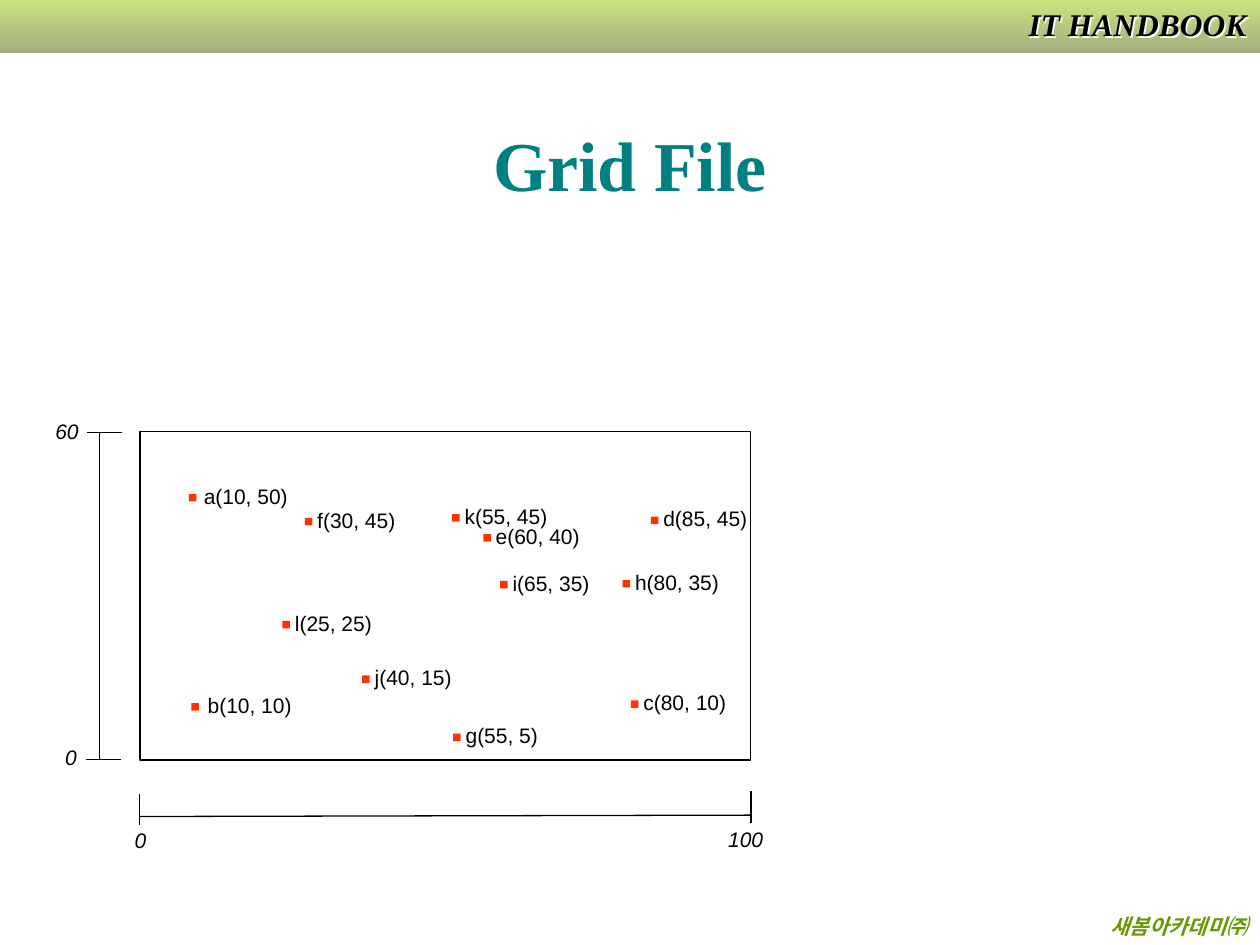
from dataclasses import dataclass
from typing import NamedTuple

from lxml.etree import SubElement
from pptx import Presentation
from pptx.dml.color import RGBColor
from pptx.enum.shapes import MSO_CONNECTOR as Connector, MSO_SHAPE as Preset
from pptx.enum.text import MSO_ANCHOR as Anchor, MSO_AUTO_SIZE as AutoSize, PP_ALIGN as Align
from pptx.oxml.ns import qn
from pptx.util import Pt


@dataclass(frozen=True)
class Theme:
    serif: str = "Times New Roman"
    sans: str = "Arial"
    title_size: float = 40
    header_size: float = 18
    label_size: float = 12
    ink: str = "000000"
    title: str = "008080"
    publisher: str = "669900"
    marker: str = "FF3300"
    bar_top: str = "99CC00"
    bar_bottom: str = "475E00"
    shadow: str = "FFFFFF"


class Box(NamedTuple):
    left: float
    top: float
    width: float
    height: float


class Line(NamedTuple):
    x1: float
    y1: float
    x2: float
    y2: float


class AxisLabel(NamedTuple):
    text: str
    box: Box


class DataPoint(NamedTuple):
    name: str
    x: int
    y: int
    left: float
    top: float
    label_width: float = 61.9
    label_shift: float = 0


THEME = Theme()
MARKER_SIZE = 4.3
LABEL_RISE = 9.6
LABEL_HEIGHT = 21.6
LABEL_RIGHT_INSET = 3
LINE_WIDTH = 0.75

PLOT = Box(80, 246.7, 348.9, 187.7)
AXIS_LINES = [
    Line(79.9, 466.6, 428.8, 465.8),
    Line(429.1, 452.2, 429.1, 470.2),
    Line(79.9, 453.6, 79.9, 471.6),
    Line(56.9, 247, 56.9, 434.2),
    Line(49, 434.2, 69.1, 434.2),
    Line(49.7, 247, 69.8, 247),
]
AXIS_LABELS = [
    AxisLabel("100", Box(409, 468.7, 34.6, LABEL_HEIGHT)),
    AxisLabel("60", Box(24.5, 235.7, 27.4, LABEL_HEIGHT)),
    AxisLabel("0", Box(30.2, 422, 20.9, LABEL_HEIGHT)),
    AxisLabel("0", Box(69.8, 469.4, 20.9, LABEL_HEIGHT)),
]
DATA_POINTS = [
    DataPoint("a", 10, 50, 108, 282.2, label_shift=1.4),
    DataPoint("b", 10, 10, 109.4, 401.8, label_shift=2.2),
    DataPoint("c", 80, 10, 360.6, 400.2),
    DataPoint("e", 60, 40, 276.2, 305.2),
    DataPoint("d", 85, 45, 372, 295.2),
    DataPoint("f", 30, 45, 174.2, 296, 59),
    DataPoint("g", 55, 5, 259, 419.2, 55.4),
    DataPoint("h", 80, 35, 355.8, 331.4),
    DataPoint("k", 55, 45, 258.4, 293.8),
    DataPoint("i", 65, 35, 285.8, 332, 58.3),
    DataPoint("j", 40, 15, 207, 386, 58.3),
    DataPoint("l", 25, 25, 161.4, 354.8, 58.3),
]


def rgb(value: str) -> RGBColor:
    return RGBColor.from_string(value)


def lengths(values) -> list[Pt]:
    return [Pt(value) for value in values]


def write_text(shape, text: str, *, font: str = THEME.sans, size: float = THEME.label_size,
               color: str = THEME.ink, bold: bool = False, italic: bool = False,
               align: Align = Align.LEFT, anchor: Anchor = Anchor.TOP,
               wrap: bool = True, right_inset: float = 7.2,
               auto_size: AutoSize = AutoSize.SHAPE_TO_FIT_TEXT) -> None:
    frame = shape.text_frame
    frame.word_wrap = wrap
    frame.auto_size = auto_size
    frame.vertical_anchor = anchor
    frame.margin_right = Pt(right_inset)
    paragraph = frame.paragraphs[0]
    paragraph.alignment = align
    run = paragraph.add_run()
    run.text = text
    run.font.name = font
    run.font.size = Pt(size)
    run.font.bold = bold
    run.font.italic = italic
    run.font.color.rgb = rgb(color)


def add_text(slide, box: Box, text: str, **text_format):
    shape = slide.shapes.add_textbox(*lengths(box))
    write_text(shape, text, **text_format)
    return shape


def add_label(slide, box: Box, text: str, italic: bool = False) -> None:
    add_text(slide, box, text, italic=italic, wrap=False, right_inset=LABEL_RIGHT_INSET)


def add_rectangle(slide, box: Box):
    shape = slide.shapes.add_shape(Preset.RECTANGLE, *lengths(box))
    shape.shadow.inherit = False
    shape.fill.background()
    shape.line.fill.background()
    return shape


def add_header_bar(slide) -> None:
    bar = add_rectangle(slide, Box(0, 0, 720, 30.2))
    bar.fill.gradient()
    bar.fill.gradient_angle = 270
    for stop, color in zip(bar.fill.gradient_stops, (THEME.bar_top, THEME.bar_bottom)):
        stop.color.rgb = rgb(color)
    for color_element in bar.element.iter(qn("a:srgbClr")):
        SubElement(color_element, qn("a:alpha"), val="50000")


def add_shadow(shape) -> None:
    effects = SubElement(shape.element.spPr, qn("a:effectLst"))
    shadow = SubElement(effects, qn("a:outerShdw"), dist=str(Pt(1.4)), dir="2700000")
    SubElement(shadow, qn("a:srgbClr"), val=THEME.shadow)


def add_line(slide, line: Line) -> None:
    connector = slide.shapes.add_connector(Connector.STRAIGHT, *lengths(line))
    connector.line.color.rgb = rgb(THEME.ink)
    connector.line.width = Pt(LINE_WIDTH)
    SubElement(connector.element.spPr, qn("a:effectLst"))


def add_data_point(slide, point: DataPoint) -> None:
    marker = add_rectangle(slide, Box(point.left, point.top, MARKER_SIZE, MARKER_SIZE))
    marker.fill.solid()
    marker.fill.fore_color.rgb = rgb(THEME.marker)
    label_box = Box(point.left + point.label_shift, point.top - LABEL_RISE,
                    point.label_width, LABEL_HEIGHT)
    add_label(slide, label_box, f"{point.name}({point.x}, {point.y})")


def main() -> None:
    presentation = Presentation()
    presentation.slide_width, presentation.slide_height = Pt(720), Pt(540)
    slide = presentation.slides.add_slide(presentation.slide_layouts[5])

    title = slide.shapes.title
    title.left, title.top, title.width, title.height = lengths((54, 48.2, 612, 90))
    write_text(title, "Grid File", font=THEME.serif, size=THEME.title_size,
               color=THEME.title, bold=True, align=Align.CENTER, anchor=Anchor.MIDDLE,
               auto_size=AutoSize.NONE)

    add_header_bar(slide)
    branding = dict(font=THEME.serif, bold=True, italic=True, align=Align.RIGHT)
    add_text(slide, Box(4.3, 518.4, 715.7, 21.6), "새봄아카데미㈜",
             color=THEME.publisher, **branding)
    header = add_text(slide, Box(567.4, -0.7, 151.9, 28.8), "IT HANDBOOK",
                      size=THEME.header_size, **branding)
    add_shadow(header)

    plot = add_rectangle(slide, PLOT)
    plot.line.color.rgb = rgb(THEME.ink)
    plot.line.width = Pt(LINE_WIDTH)
    for line in AXIS_LINES:
        add_line(slide, line)
    for label in AXIS_LABELS:
        add_label(slide, label.box, label.text, italic=True)
    for point in DATA_POINTS:
        add_data_point(slide, point)

    presentation.save("out.pptx")


if __name__ == "__main__":
    main()
